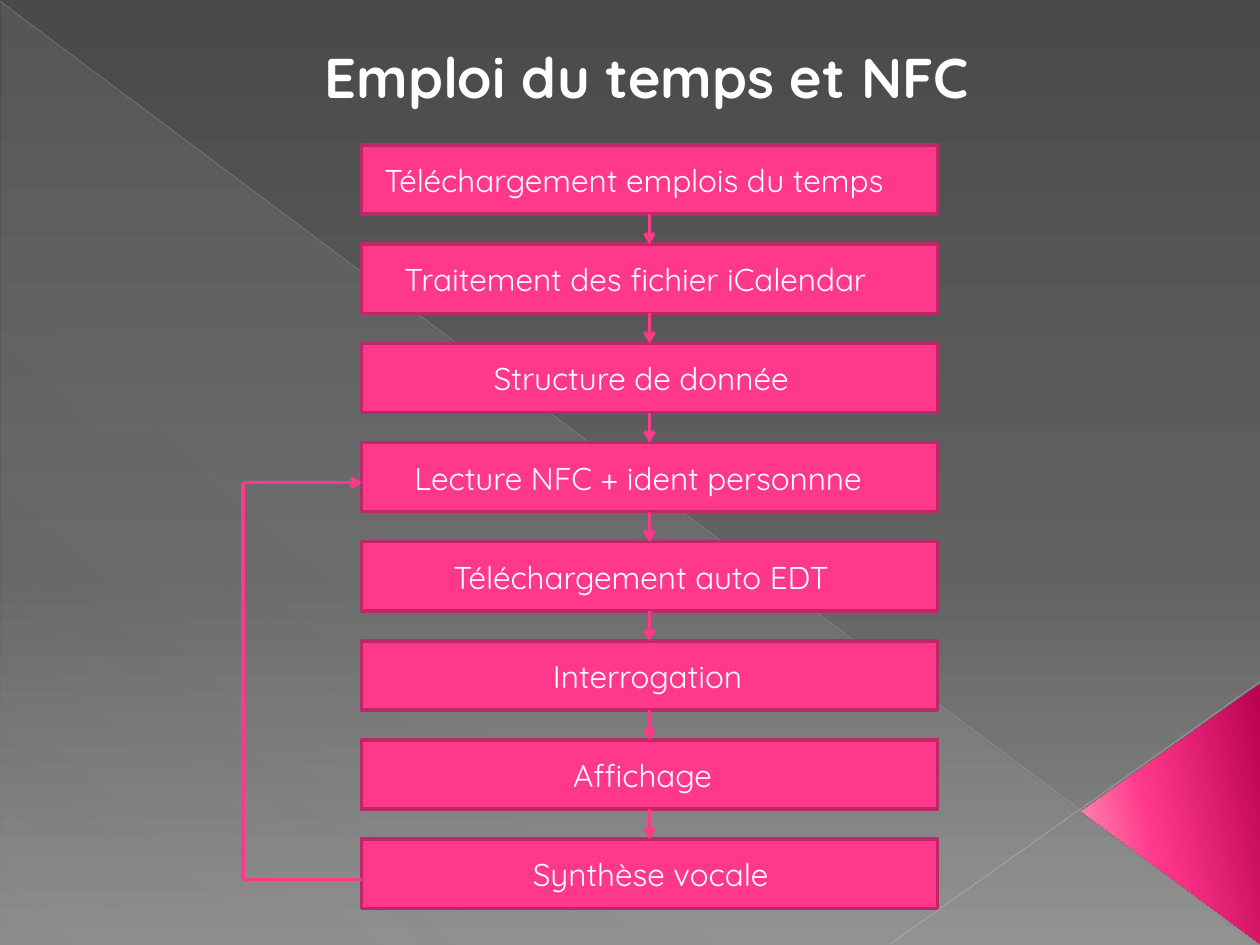
from dataclasses import dataclass

from lxml import etree
from pptx import Presentation
from pptx.dml.color import RGBColor
from pptx.enum.shapes import MSO_CONNECTOR, MSO_SHAPE
from pptx.enum.text import MSO_AUTO_SIZE
from pptx.oxml.ns import qn
from pptx.util import Inches, Pt

STRAIGHT = MSO_CONNECTOR.STRAIGHT
RECT = MSO_SHAPE.RECTANGLE
TRIANGLE = MSO_SHAPE.ISOSCELES_TRIANGLE
RIGHT_TRIANGLE = MSO_SHAPE.RIGHT_TRIANGLE
FIT = MSO_AUTO_SIZE.SHAPE_TO_FIT_TEXT


@dataclass(frozen=True)
class Theme:
    font: str = "Quicksand"
    text: str = "FFFFFF"
    accent: str = "FF388C"
    border: str = "BD2968"
    upper_edge: str = "BFBFBF"
    lower_edge: str = "C6C6C6"
    backdrop: tuple = ((0, "4A4A4A", 100), (60, "626262", 100), (100, "8C8C8C", 100))
    veil: tuple = ((0, "D2D2D2", 10), (70, "D2D2D2", 8), (100, "D2D2D2", 1))
    corner: tuple = ((0, "B8014E", 100), (60, "FF388C", 100), (100, "FF9CB9", 100))
    title_size: int = 32
    step_size: int = 18
    stroke: int = 2


def set_alpha(color, percent):
    if percent < 100:
        etree.SubElement(color, qn("a:alpha"), val=str(percent * 1000))


def set_gradient(element, stops, angle):
    grad = next(element.iter(qn("a:gradFill")))
    grad.clear()
    grad.set("rotWithShape", "1")
    stop_list = etree.SubElement(grad, qn("a:gsLst"))
    for position, rgb, alpha in stops:
        stop = etree.SubElement(stop_list, qn("a:gs"), pos=str(position * 1000))
        set_alpha(etree.SubElement(stop, qn("a:srgbClr"), val=rgb), alpha)
    etree.SubElement(grad, qn("a:lin"), ang=str(angle * 60000), scaled="0")


def write(tf, text, *, font, size, color, bold=False):
    r = tf.paragraphs[0].add_run()
    r.text = text
    r.font.name = font
    r.font.size = Pt(size)
    r.font.bold = bold
    r.font.color.rgb = RGBColor.from_string(color)


class Canvas:
    def __init__(self, slide, theme):
        self.s = slide
        self.theme = theme

    def background(self, stops, angle):
        self.s.background.fill.gradient()
        set_gradient(self.s.element, stops, angle)

    def shape(self, kind, box):
        sp = self.s.shapes.add_shape(kind, *map(Inches, box))
        sp.shadow.inherit = False
        return sp

    def gradient_shape(self, kind, box, stops, angle):
        sp = self.shape(kind, box)
        sp.line.fill.background()
        sp.fill.gradient()
        set_gradient(sp.element, stops, angle)
        return sp

    def panel(self, box):
        sp = self.shape(RECT, box)
        sp.fill.solid()
        sp.fill.fore_color.rgb = RGBColor.from_string(self.theme.accent)
        sp.line.color.rgb = RGBColor.from_string(self.theme.border)
        sp.line.width = Pt(self.theme.stroke)

    def label(self, box, text, size, bold=False):
        tf = self.s.shapes.add_textbox(*map(Inches, box)).text_frame
        tf.word_wrap = False
        tf.auto_size = FIT
        write(tf, text, font=self.theme.font, size=size,
              color=self.theme.text, bold=bold)

    def line(self, start, end, color=None, width=None, alpha=100, arrow=False):
        sp = self.s.shapes.add_connector(STRAIGHT, *map(Inches, (*start, *end)))
        sp.line.color.rgb = RGBColor.from_string(color or self.theme.accent)
        sp.line.width = Pt(width or self.theme.stroke)
        ln = sp.line._get_or_add_ln()
        set_alpha(next(ln.iter(qn("a:srgbClr"))), alpha)
        if arrow:
            etree.SubElement(ln, qn("a:tailEnd"), type="arrow")
        etree.SubElement(sp.element.spPr, qn("a:effectLst"))


STEPS = (
    ("Téléchargement emplois du temps", 2.95, 4.44),
    ("Traitement des fichier iCalendar", 3.11, 4.1),
    ("Structure de donnée", 3.82, 2.74),
    ("Lecture NFC + ident personnne", 3.19, 4.01),
    ("Téléchargement auto EDT", 3.5, 3.38),
    ("Interrogation", 4.29, 1.78),
    ("Affichage", 4.45, 1.42),
    ("Synthèse vocale", 4.13, 2.21),
)
LEFT, WIDTH, HEIGHT = 2.87, 4.57, 0.55
FIRST_TOP, LAST_TOP = 1.15, 6.66
LOOP_X, LOOP_STEP = 1.93, 3


def draw_backdrop(canvas, theme):
    canvas.background(theme.backdrop, 90)
    canvas.gradient_shape(RIGHT_TRIANGLE, (0.01, 0.02, 9.98, 7.48), theme.veil, 133)
    canvas.line((0, 0.01), (9.99, 7.49), theme.upper_edge, 0.39, 35)
    canvas.line((10, 5.41), (7.07, 7.49), theme.lower_edge, 0.47, 45)
    corner = canvas.gradient_shape(
        TRIANGLE, (8.26, 5.75, 2.07, 1.42), theme.corner, 258)
    corner.adjustments[0] = 0.51
    corner.rotation = 270


def draw_flow(canvas, theme):
    pitch = (LAST_TOP - FIRST_TOP) / (len(STEPS) - 1)
    tops = [FIRST_TOP + i * pitch for i in range(len(STEPS))]
    for top, (text, left, width) in zip(tops, STEPS):
        canvas.panel((LEFT, top, WIDTH, HEIGHT))
        canvas.label((left, top + 0.08, width, 0.4), text, theme.step_size)

    center = LEFT + WIDTH / 2
    for top, next_top in zip(tops, tops[1:]):
        canvas.line((center, top + HEIGHT), (center, next_top), arrow=True)

    loop_top, loop_bottom = tops[LOOP_STEP] + 0.32, tops[-1] + 0.32
    canvas.line((LOOP_X, loop_top), (LEFT, loop_top), arrow=True)
    canvas.line((LOOP_X, loop_top), (LOOP_X, loop_bottom))
    canvas.line((LOOP_X, loop_bottom), (LEFT, loop_bottom))


def main():
    theme = Theme()
    prs = Presentation()
    prs.slide_width, prs.slide_height = Inches(10), Inches(7.5)
    canvas = Canvas(prs.slides.add_slide(prs.slide_layouts[6]), theme)
    draw_backdrop(canvas, theme)
    canvas.label((2.48, 0.29, 5.51, 0.64), "Emploi du temps et NFC",
                 theme.title_size, bold=True)
    draw_flow(canvas, theme)
    prs.save("out.pptx")


if __name__ == "__main__":
    main()
